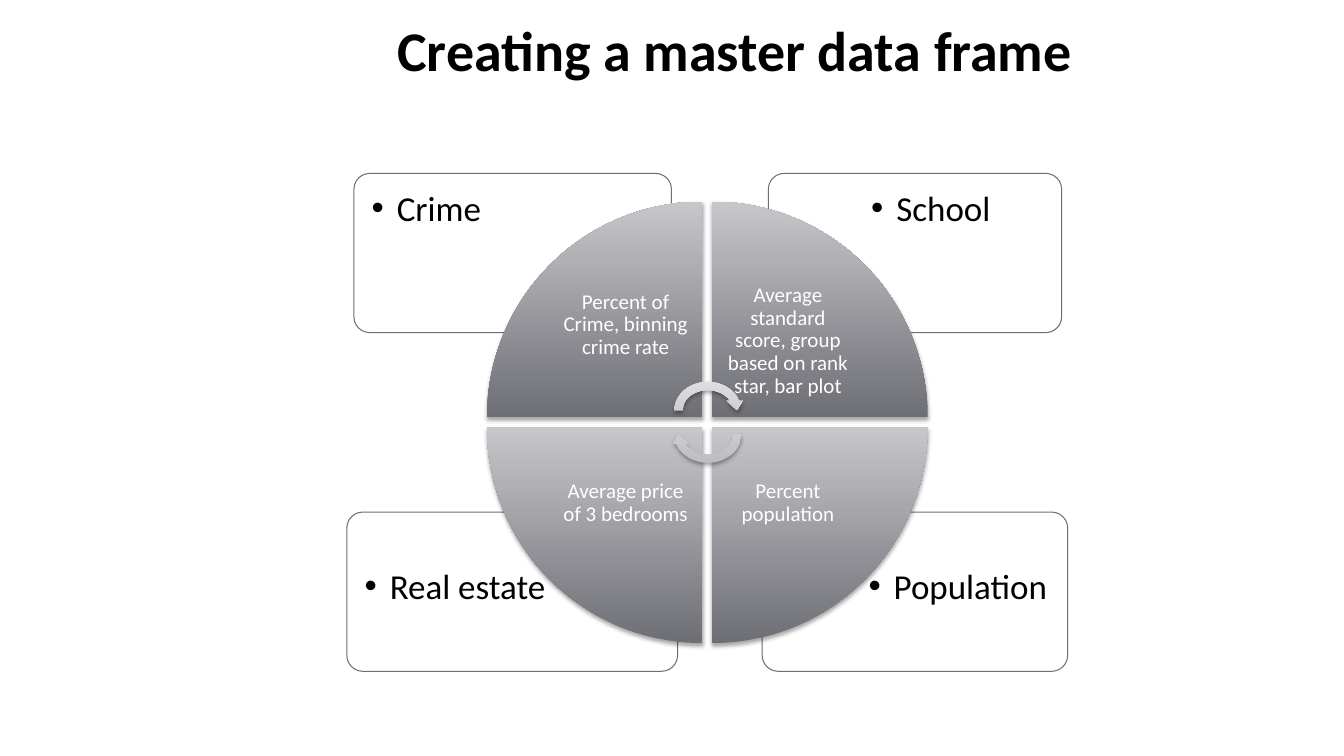
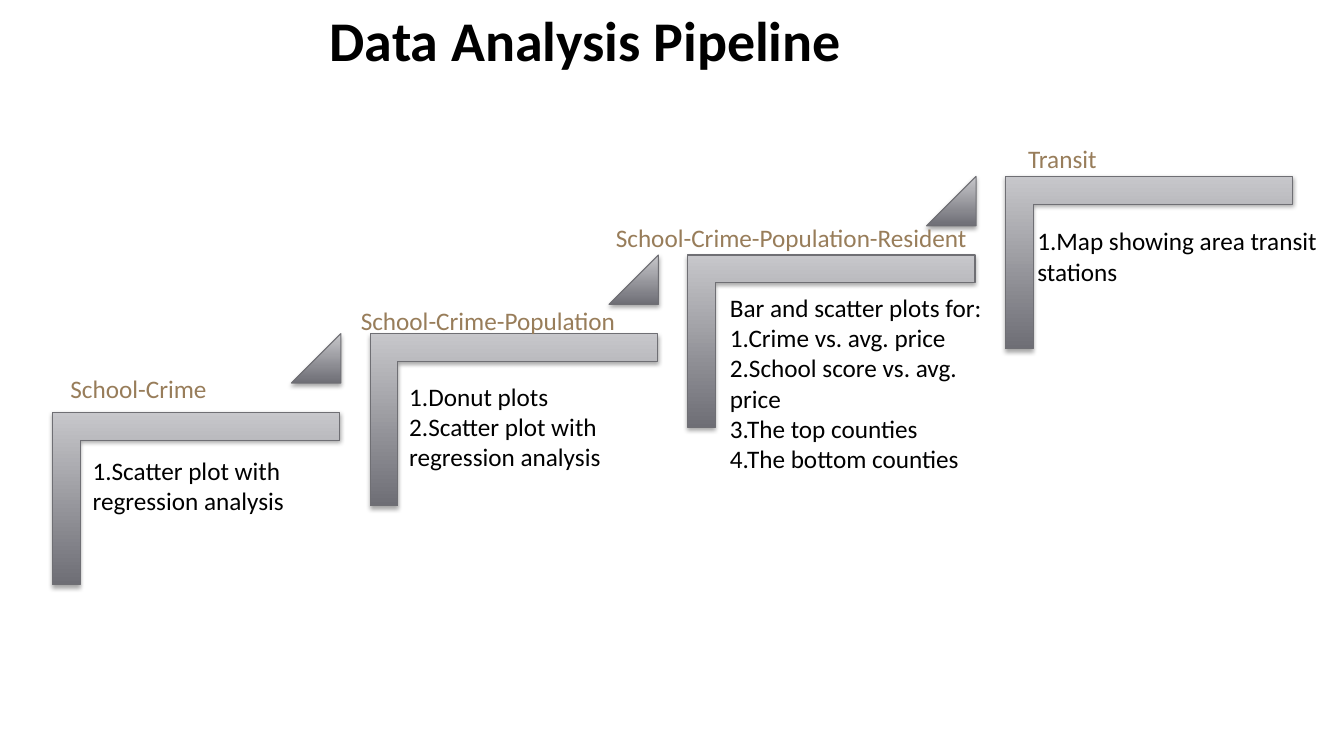
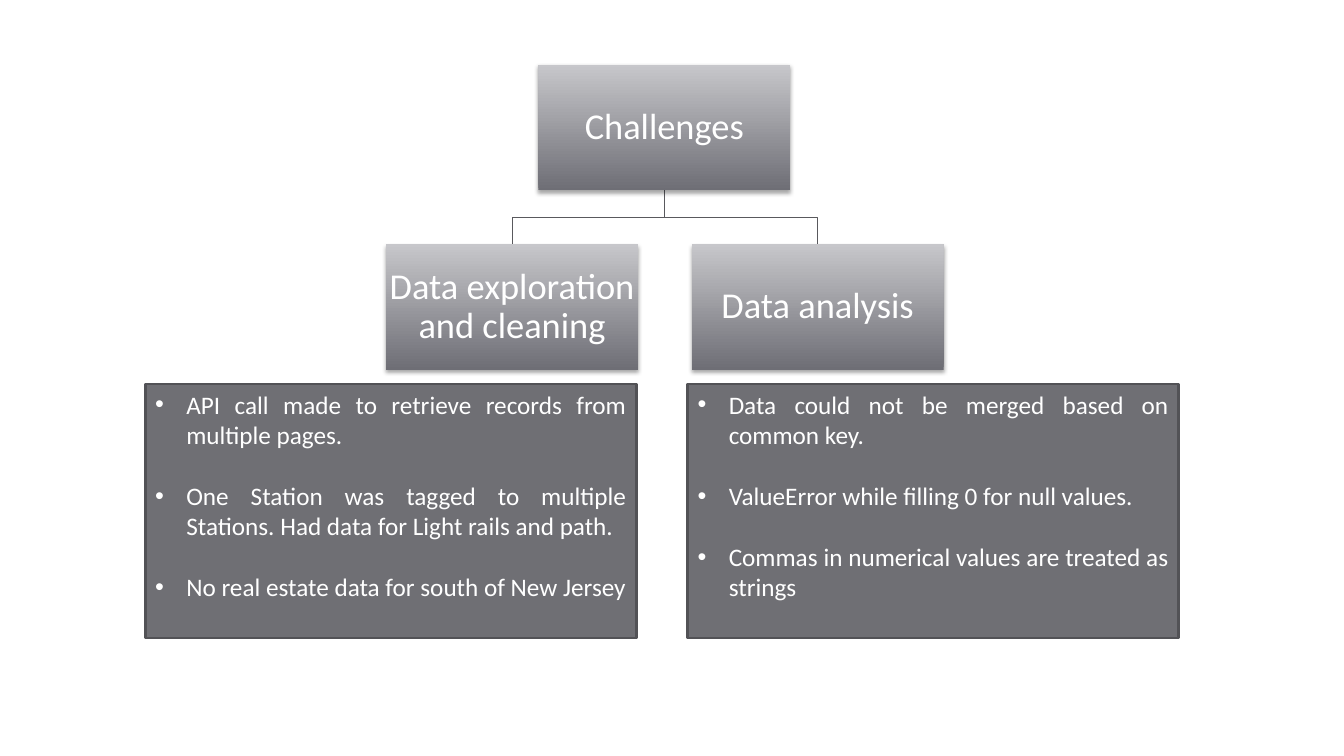
from lxml import etree
from pptx import Presentation
from pptx.dml.color import RGBColor
from pptx.enum.shapes import MSO_SHAPE
from pptx.enum.text import MSO_ANCHOR, MSO_AUTO_SIZE, PP_ALIGN
from pptx.oxml.ns import qn
from pptx.util import Inches, Pt

RECT, ROUNDED = MSO_SHAPE.RECTANGLE, MSO_SHAPE.ROUNDED_RECTANGLE
WEDGE, CIRCULAR = MSO_SHAPE.PIE_WEDGE, MSO_SHAPE.CIRCULAR_ARROW
CORNER, TRIANGLE = MSO_SHAPE.CORNER, MSO_SHAPE.ISOSCELES_TRIANGLE
TOP, MIDDLE = MSO_ANCHOR.TOP, MSO_ANCHOR.MIDDLE
LEFT, CENTER, JUSTIFY = PP_ALIGN.LEFT, PP_ALIGN.CENTER, PP_ALIGN.JUSTIFY
NO_AUTOSIZE = MSO_AUTO_SIZE.NONE
TITLE_ONLY, BLANK = 5, 6

FONT = "Calibri"
BLACK = RGBColor(0x00, 0x00, 0x00)
WHITE = RGBColor(0xFF, 0xFF, 0xFF)
GRAY = RGBColor(0x6F, 0x6F, 0x74)
DARK_GRAY = RGBColor(0x52, 0x52, 0x56)
TREE_LINE = RGBColor(0x59, 0x59, 0x5D)
TAN = RGBColor(0x98, 0x7D, 0x5A)
STEEL = (RGBColor(0x6E, 0x6E, 0x75), RGBColor(0xC7, 0xC7, 0xCB))
SILVER = (RGBColor(0xBB, 0xBB, 0xBD), RGBColor(0xE0, 0xE0, 0xE2))


def add_bullet(p, indent):
    pPr = p._p.get_or_add_pPr()
    pPr.set("marL", str(Inches(indent)))
    pPr.set("indent", str(-Inches(indent)))
    etree.SubElement(pPr, qn("a:buFont")).set("typeface", "Arial")
    etree.SubElement(pPr, qn("a:buChar")).set("char", "•")


def write(tf, lines, size=18, color=BLACK, bold=False, align=LEFT, anchor=TOP,
          margins=(0.1, 0.05, 0.1, 0.05), spacing=None, after=0, bullet=None, wrap=True):
    """Fill a text frame, one paragraph per line; margins are left, top, right, bottom."""
    tf.word_wrap = wrap
    tf.auto_size = NO_AUTOSIZE
    tf.vertical_anchor = anchor
    tf.margin_left, tf.margin_top, tf.margin_right, tf.margin_bottom = map(Inches, margins)
    for i, line in enumerate(lines):
        p = tf.paragraphs[0] if i == 0 else tf.add_paragraph()
        p.alignment = align
        if spacing:
            p.line_spacing = spacing
        p.space_after = Pt(after)
        if bullet:
            add_bullet(p, bullet)
        r = p.add_run()
        r.text = line
        r.font.name, r.font.size, r.font.bold = FONT, Pt(size), bold
        r.font.color.rgb = color


def add_title(slide, text, x, y, w):
    sp = slide.shapes.title
    sp.left, sp.top, sp.width, sp.height = map(Inches, (x, y, w, 0.77))
    write(sp.text_frame, [text], size=40, bold=True, wrap=False)


def add_text(slide, lines, x, y, w, h, **fmt):
    sp = slide.shapes.add_textbox(*map(Inches, (x, y, w, h)))
    write(sp.text_frame, lines, **fmt)


def add_shadow(sp):
    effects = sp._element.spPr.find(qn("a:effectLst"))
    shadow = etree.SubElement(effects, qn("a:outerShdw"), blurRad="40000", dist="23000",
                              dir="5400000", rotWithShape="0")
    color = etree.SubElement(shadow, qn("a:srgbClr"), val="000000")
    etree.SubElement(color, qn("a:alpha"), val="35000")


def add_shape(slide, kind, x, y, w, h, fill, line=None, line_width=0.75,
              rotation=0, adjust=()):
    """Add a preset shape; a pair of colours as fill gives a shaded, shadowed shape."""
    sp = slide.shapes.add_shape(kind, *map(Inches, (x, y, w, h)))
    sp.rotation = rotation
    for i, value in enumerate(adjust):
        sp.adjustments[i] = value
    sp.shadow.inherit = False
    if isinstance(fill, RGBColor):
        sp.fill.solid()
        sp.fill.fore_color.rgb = fill
    else:
        sp.fill.gradient()
        sp.fill.gradient_angle = 90
        for stop, color in zip(sp.fill.gradient_stops, fill):
            stop.color.rgb = color
        sp._element.spPr.find(qn("a:gradFill")).set("rotWithShape", "0")
        add_shadow(sp)
    if line:
        sp.line.color.rgb = line
        sp.line.width = Pt(line_width)
    else:
        sp.line.fill.background()
    return sp


def add_branch(slide, x1, y1, x2, y2):
    """Draw a tree branch that runs down, across and down again."""
    mid = (y1 + y2) / 2
    builder = slide.shapes.build_freeform(Inches(x1), Inches(y1))
    builder.add_line_segments([(Inches(x), Inches(y)) for x, y in
                               ((x1, mid), (x2, mid), (x2, y2))], close=False)
    sp = builder.convert_to_shape()
    sp.shadow.inherit = False
    sp.fill.background()
    sp.line.color.rgb = TREE_LINE
    sp.line.width = Pt(0.75)


def build_master_frame(prs):
    slide = prs.slides.add_slide(prs.slide_layouts[TITLE_ONLY])
    add_title(slide, "Creating a master data frame", 3.84, 0.1, 7.02)

    cards = [("Population", 7.56, 5.08, 3.03), ("Real estate", 3.44, 5.08, 3.28),
             ("School", 7.62, 1.72, 2.91), ("Crime", 3.51, 1.72, 3.15)]
    for name, x, y, w in cards:
        sp = add_shape(slide, ROUNDED, x, y, w, 1.58, WHITE, GRAY, adjust=[0.1])
        left = 0.13 + (0.29 * w if x > 7 else 0)
        top = 0.13 + (0.39 if y > 5 else 0)
        write(sp.text_frame, [name], size=25, spacing=0.9, bullet=0.25,
              margins=(left, top, 0.05, 0.05))

    wedge, text_size = 2.14, 1.51
    wedges = [("Percent of Crime, binning crime rate", 4.83, 2, 5.45, 2.47),
              ("Average standard score, group based on rank star, bar plot",
               7.06, 2, 7.06, 2.63),
              ("Percent population", 7.06, 4.24, 7.06, 4.24),
              ("Average price of 3 bedrooms", 4.83, 4.24, 5.45, 4.24)]
    for i, (text, x, y, text_x, text_y) in enumerate(wedges):
        add_shape(slide, WEDGE, x, y, wedge, wedge, STEEL, rotation=90 * i)
        add_text(slide, [text], text_x, text_y, text_size, text_size, size=15, color=WHITE,
                 align=CENTER, anchor=MIDDLE, spacing=0.9, margins=(0.12,) * 4)

    for y, rotation in ((3.75, 0), (3.99, 180)):
        add_shape(slide, CIRCULAR, 6.65, y, 0.74, 0.64, SILVER, rotation=rotation)


def build_pipeline(prs):
    slide = prs.slides.add_slide(prs.slide_layouts[TITLE_ONLY])
    add_title(slide, "Data Analysis Pipeline", 3.17, 0, 5.34)

    # label, its place and width; details, their place and width
    steps = [("School-Crime", 0.6, 3.65, 1.8,
              ["1.Scatter plot with regression analysis"], 0.82, 4.47, 2.84),
             ("School-Crime-Population", 3.48, 2.98, 2.9,
              ["1.Donut plots", "2.Scatter plot with regression analysis"],
              3.96, 3.73, 2.95),
             ("School-Crime-Population-Resident", 6.01, 2.16, 4.2,
              ["Bar and scatter plots for:", "1.Crime vs. avg. price",
               "2.School score vs. avg. price", "3.The top counties",
               "4.The bottom counties"], 7.14, 2.85, 2.88),
             ("Transit", 10.1, 1.37, 1.5,
              ["1.Map showing area transit stations"], 10.19, 2.19, 3.1)]
    step_x, step_y = 3.15, 0.78
    for i, (label, x, y, w, details, detail_x, detail_y, detail_w) in enumerate(steps):
        dx, dy = i * step_x, i * step_y
        add_shape(slide, CORNER, 1.09 + dx, 3.52 - dy, 1.71, 2.85, STEEL, GRAY,
                  rotation=90, adjust=[0.161, 0.161])
        if i < len(steps) - 1:
            add_shape(slide, TRIANGLE, 2.89 + dx, 3.31 - dy, 0.49, 0.49, STEEL, GRAY,
                      adjust=[1])
        add_text(slide, [label], x, y, w, 0.4, color=TAN)
        add_text(slide, details, detail_x, detail_y, detail_w, 0.1 + 0.3 * len(details))


def build_challenges(prs):
    slide = prs.slides.add_slide(prs.slide_layouts[BLANK])
    box_w, box_h, root_y, child_y = 2.5, 1.25, 0.64, 2.42
    root_x, child_xs = 5.34, (3.83, 6.86)
    for x in child_xs:
        add_branch(slide, root_x + box_w / 2, root_y + box_h, x + box_w / 2, child_y)

    boxes = [("Challenges", root_x, root_y),
             ("Data exploration and cleaning", child_xs[0], child_y),
             ("Data analysis", child_xs[1], child_y)]
    for text, x, y in boxes:
        sp = add_shape(slide, RECT, x, y, box_w, box_h, STEEL)
        write(sp.text_frame, [text], size=26, color=WHITE, align=CENTER, anchor=MIDDLE,
              spacing=0.9, margins=(0.02,) * 4)

    panels = [(1.44, ["API call made to retrieve records from multiple pages.",
                      "One Station was tagged to multiple Stations. "
                      "Had data for Light rails and path.",
                      "No real estate data for south of New Jersey"]),
              (6.82, ["Data could not be merged based on common key.",
                      "ValueError while filling 0 for null values.",
                      "Commas in numerical values are treated as strings"])]
    for x, items in panels:
        sp = add_shape(slide, RECT, x, 3.81, 4.87, 2.52, GRAY, DARK_GRAY, line_width=2)
        write(sp.text_frame, items, color=WHITE, align=JUSTIFY, bullet=0.31, after=22)


def main():
    prs = Presentation()
    prs.slide_width, prs.slide_height = Inches(13.33), Inches(7.5)
    build_master_frame(prs)
    build_pipeline(prs)
    build_challenges(prs)
    prs.save("out.pptx")


if __name__ == "__main__":
    main()
